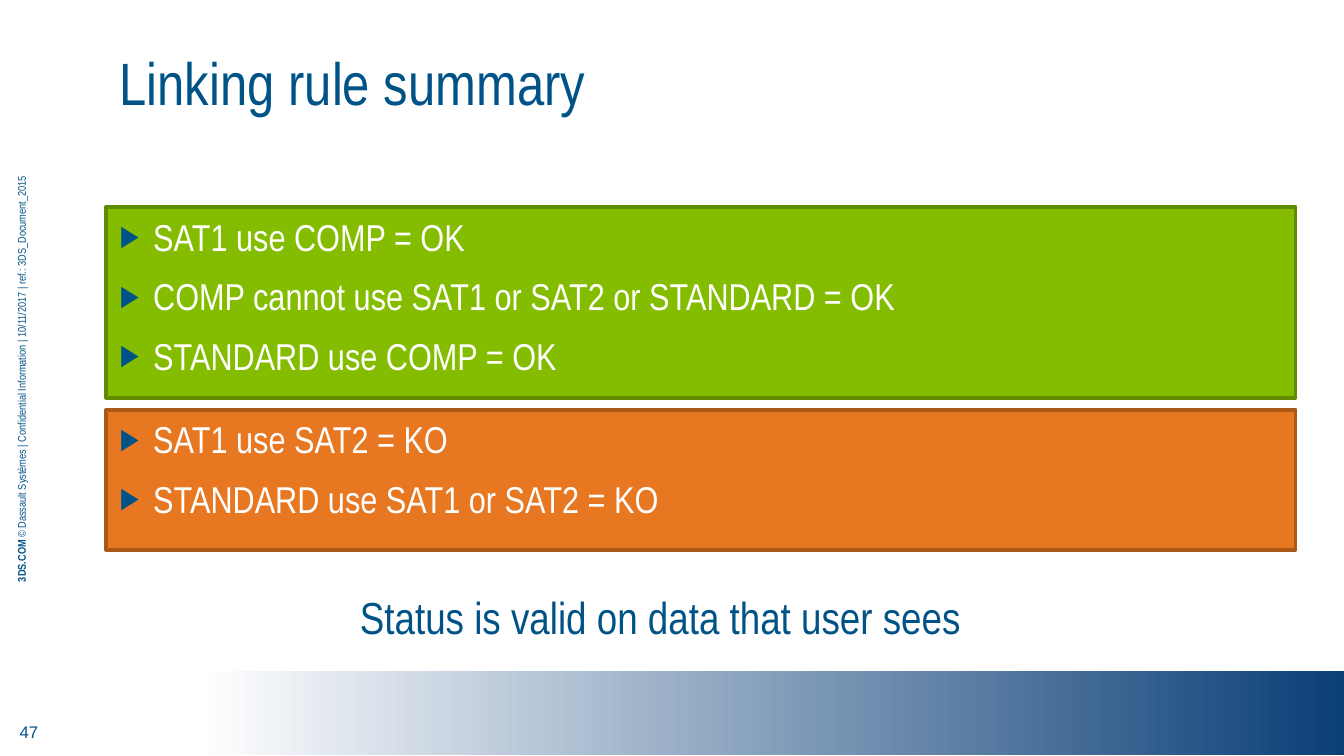
from lxml import etree
from pptx import Presentation
from pptx.dml.color import RGBColor
from pptx.enum.shapes import MSO_SHAPE
from pptx.enum.text import MSO_ANCHOR, MSO_AUTO_SIZE, PP_ALIGN
from pptx.oxml.ns import qn
from pptx.util import Inches, Pt

WHITE = RGBColor(0xFF, 0xFF, 0xFF)
NAVY = RGBColor(0x0B, 0x3F, 0x77)
BLUE = RGBColor(0x00, 0x53, 0x86)
GREEN = RGBColor(0x84, 0xBD, 0x00)
DARK_GREEN = RGBColor(0x61, 0x8B, 0x00)
ORANGE = RGBColor(0xE8, 0x77, 0x22)
DARK_ORANGE = RGBColor(0xAB, 0x58, 0x19)

NARROW = "Arial Narrow"
LEFT = 0.79
LIST_WIDTH = 8.85

OK_RULES = [
    "SAT1 use COMP = OK",
    "COMP cannot use SAT1 or SAT2 or STANDARD = OK",
    "STANDARD use COMP = OK",
]
KO_RULES = ["SAT1 use SAT2 = KO", "STANDARD use SAT1 or SAT2 = KO"]


def place(sp, box):
    for name, value in zip(("left", "top", "width", "height"), box):
        setattr(sp, name, Inches(value))


def format_frame(tf, anchor=MSO_ANCHOR.TOP):
    settings = {"word_wrap": True, "auto_size": MSO_AUTO_SIZE.NONE,
                "vertical_anchor": anchor}
    for name, value in settings.items():
        setattr(tf, name, value)


def add_run(p, text, size, color=BLUE, font=NARROW, bold=False):
    r = p.add_run()
    r.text = text
    r.font.color.rgb = color
    for name, value in {"size": Pt(size), "name": font, "bold": bold}.items():
        setattr(r.font, name, value)


def add_bullet(p):
    """Give the paragraph a hanging indent and a blue triangle."""
    pPr = p._p.get_or_add_pPr()
    indent = Inches(0.25)
    pPr.set("marL", str(indent))
    pPr.set("indent", str(-indent))
    color = etree.SubElement(pPr, qn("a:buClr"))
    etree.SubElement(color, qn("a:srgbClr"), val=str(BLUE))
    etree.SubElement(pPr, qn("a:buSzPct"), val="80000")
    etree.SubElement(pPr, qn("a:buFont"), typeface="Arial")
    etree.SubElement(pPr, qn("a:buChar"), char="▶")


def add_footer_band(s, box):
    sp = s.shapes.add_shape(MSO_SHAPE.RECTANGLE, *map(Inches, box))
    sp.shadow.inherit = False
    sp.line.fill.background()
    sp.fill.gradient()
    sp.fill.gradient_angle = 0
    for stop, color in zip(sp.fill.gradient_stops, (WHITE, NAVY)):
        stop.color.rgb = color


def add_text(s, box, runs, align=PP_ALIGN.LEFT, anchor=MSO_ANCHOR.TOP):
    sp = s.shapes.add_textbox(*map(Inches, box))
    format_frame(sp.text_frame, anchor)
    p = sp.text_frame.paragraphs[0]
    p.alignment = align
    for run in runs:
        add_run(p, **run)
    return sp


def fill_title(sp, box, text):
    place(sp, box)
    format_frame(sp.text_frame, MSO_ANCHOR.MIDDLE)
    p = sp.text_frame.paragraphs[0]
    p.alignment = PP_ALIGN.LEFT
    add_run(p, text, 32)


def fill_rule_list(sp, box, rules, fill, line):
    place(sp, box)
    sp.fill.solid()
    sp.fill.fore_color.rgb = fill
    sp.line.color.rgb = line
    sp.line.width = Pt(2)
    tf = sp.text_frame
    format_frame(tf)
    for i, rule in enumerate(rules):
        p = tf.add_paragraph() if i else tf.paragraphs[0]
        add_bullet(p)
        p.space_before = Pt(8 if i else 0)
        add_run(p, rule, 20, WHITE)


def main():
    prs = Presentation()
    prs.slide_width = Inches(10)
    prs.slide_height = prs.slide_width * 9 // 16
    s = prs.slides.add_slide(prs.slide_layouts[3])
    title, ok_list, ko_list = list(s.placeholders)[:3]

    add_footer_band(s, (1.47, 4.99, 8.53, 0.63))
    add_text(s, (0, 5.25, 0.43, 0.39),
             [{"text": "47", "size": 9, "font": "Arial"}],
             PP_ALIGN.CENTER, MSO_ANCHOR.MIDDLE)
    copyright_line = add_text(s, (-2.66, 2.72, 5.64, 0.2), [
        {"text": "3DS.COM ", "size": 6, "bold": True},
        {"text": "© Dassault Systèmes | Confidential Information | 10/11/2017"
                 " | ref.: 3DS_Document_2015", "size": 6},
    ], PP_ALIGN.CENTER)
    copyright_line.rotation = 270

    fill_title(title, (LEFT, 0.4, 8.66, 0.41), "Linking rule summary")
    fill_rule_list(ok_list, (LEFT, 1.54, LIST_WIDTH, 1.42),
                   OK_RULES, GREEN, DARK_GREEN)
    fill_rule_list(ko_list, (LEFT, 3.05, LIST_WIDTH, 1.04),
                   KO_RULES, ORANGE, DARK_ORANGE)
    add_text(s, (2.58, 4.34, 4.83, 0.5),
             [{"text": "Status is valid on data that user sees", "size": 24}])
    prs.save("out.pptx")


if __name__ == "__main__":
    main()
